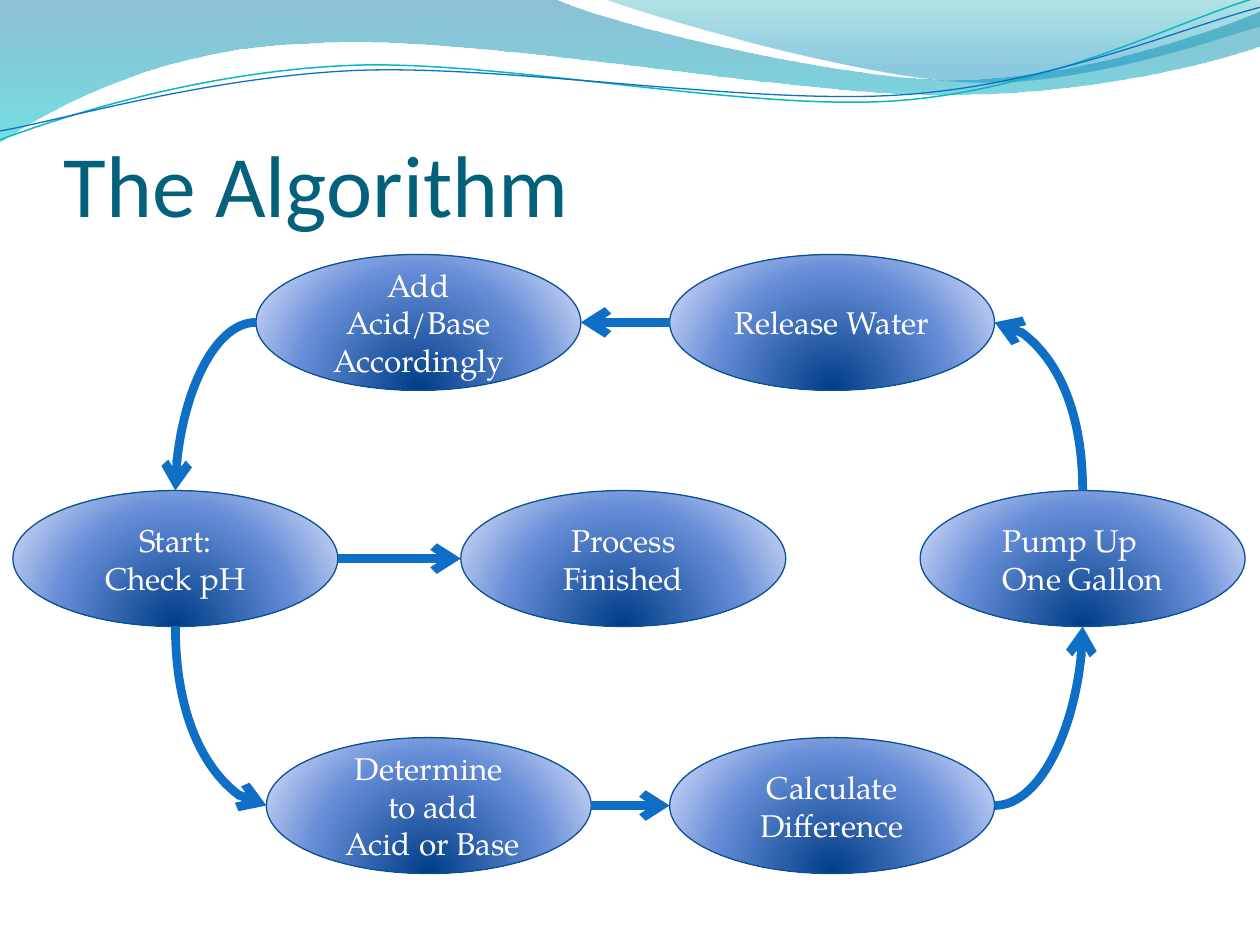
from lxml import etree
from pptx import Presentation
from pptx import util as u
from pptx.dml.color import RGBColor
from pptx.enum import shapes, text
from pptx.oxml.ns import qn

COLORS = {
    "title": "04617B", "label": "FFFFFF", "arrow": "0F6FC6", "outline": "095295",
    "teal_line": "0AB8BF", "blue_line": "0F6FC6",
}
# Gradient stops: position %, colour, opacity %
WAVE_STOPS = [(0, "0074A1", 45), (100, "00C6CF", 55)]
CREST_STOPS = [(0, "00A1A9", 30), (80, "008BBF", 45)]
STEP_STOPS = [(0, "003D87", 100), (68, "668DD7", 100), (100, "B3C4EF", 100)]

# Outlines in cm: two numbers make a straight line, six a Bezier curve
WAVE = [(0, 0), (11.18, -0.03), (12.09, 0.43, 16.87, 1.6, 19.25, 1.6),
        (21.67, 1.6, 24.33, 0.66, 25.4, 0.23), (25.43, 0.91),
        (24.97, 1.12, 22.1, 1.93, 18.95, 1.91), (15.8, 1.91, 9.7, 0.71, 6.53, 0.86),
        (3.28, 0.91, 1.17, 2.11, -0.03, 2.87)]
CREST = [(12.17, -0.03), (12.93, 0.28, 17.32, 1.57, 19.53, 1.65),
         (21.74, 1.75, 24.41, 0.81, 25.4, 0.53), (25.4, 0)]
TEAL_LINE = [(0, 2.82), (1.22, 2.36, 4.01, 1.45, 7.04, 1.32),
             (10.03, 1.19, 15.06, 2.26, 18.11, 2.03), (21.16, 1.8, 23.83, 0.38, 25.35, -0.05)]
BLUE_LINE = [(0, 2.64), (1.19, 2.44, 4.17, 1.55, 7.19, 1.42),
             (10.24, 1.3, 15.16, 2.13, 18.21, 1.91), (21.23, 1.7, 23.9, 0.53, 25.4, 0.15)]

STEP_WIDTH, STEP_HEIGHT = 6.55, 2.74
TOP_ROW, MIDDLE_ROW, BOTTOM_ROW = 0, 4.76, 9.74
CENTER, LEFT = text.PP_ALIGN.CENTER, text.PP_ALIGN.LEFT
# Step: text, left, top, special format
STEPS = {
    "start": ("Start:\nCheck pH", 0, MIDDLE_ROW, {}),
    "release": ("Release Water", 13.24, TOP_ROW, {}),
    "determine": ("Determine\nto add\nAcid or Base", 5.11, BOTTOM_ROW, {"indent": 0.16}),
    "add": ("Add Acid/Base Accordingly", 4.9, TOP_ROW, {}),
    "finished": ("Process Finished", 9.03, MIDDLE_ROW, {}),
    "pump": ("Pump Up One Gallon", 18.29, MIDDLE_ROW,
             {"align": LEFT, "margins": (0.71, 0.13, 0.5, 0.13)}),
    "calculate": ("Calculate Difference", 13.24, BOTTOM_ROW, {}),
}
# Side of an ellipse: connection site, share of width, share of height
SIDES = {"top": (0, 0.5, 0), "left": (2, 0, 0.5), "bottom": (4, 0.5, 1), "right": (6, 1, 0.5)}
ARROWS = [
    ("start", "bottom", "determine", "left", "curvedConnector2"),
    ("determine", "right", "calculate", "left", "curvedConnector3"),
    ("pump", "top", "release", "right", "curvedConnector2"),
    ("calculate", "right", "pump", "bottom", "curvedConnector2"),
    ("release", "left", "add", "right", "curvedConnector3"),
    ("add", "left", "start", "top", "curvedConnector2"),
    ("start", "right", "finished", "left", "straightConnector1"),
]


def rgb(name):
    return RGBColor.from_string(COLORS[name])


def add_element(parent, tag, **attributes):
    element = etree.SubElement(parent, qn(tag))
    for name, value in attributes.items():
        element.set(name, str(value))
    return element


def set_gradient(shape, stops, center=None):
    """Fill top to bottom, or in circles around the given rectangle."""
    shape.fill.background()
    properties = shape._element.spPr
    gradient = etree.Element(qn("a:gradFill"), rotWithShape="1")
    stop_list = add_element(gradient, "a:gsLst")
    for position, color, opacity in stops:
        stop = add_element(stop_list, "a:gs", pos=position * 1000)
        add_element(add_element(stop, "a:srgbClr", val=color), "a:alpha", val=opacity * 1000)
    if center:
        circle = add_element(gradient, "a:path", path="circle")
        add_element(circle, "a:fillToRect", **center)
    else:
        add_element(gradient, "a:lin", ang=5400000, scaled=1)
    properties.replace(properties.find(qn("a:noFill")), gradient)


def write_text(shape, content, *, size, font, color, align=CENTER,
               anchor=text.MSO_ANCHOR.MIDDLE, margins=None, indent=0):
    """Write one paragraph a line; indent, in cm, applies after the first."""
    frame = shape.text_frame
    frame.word_wrap = True
    frame.vertical_anchor = anchor
    if margins:
        frame.margin_left, frame.margin_top, frame.margin_right, frame.margin_bottom = (
            u.Cm(margin) for margin in margins)
    frame.text = content
    for index, paragraph in enumerate(frame.paragraphs):
        paragraph.alignment = align
        if indent and index:
            paragraph._p.get_or_add_pPr().set("marL", str(u.Cm(indent)))
        paragraph.font.size = u.Pt(size)
        paragraph.font.name = font
        paragraph.font.color.rgb = rgb(color)


def add_outline(slide, outline, left, top, closed):
    """Build the outline through its end points, then bend its curved segments."""
    points = [(u.Cm(left + segment[-2]), u.Cm(top + segment[-1])) for segment in outline]
    builder = slide.shapes.build_freeform(*points[0])
    builder.add_line_segments(points[1:], close=closed)
    shape = builder.convert_to_shape()
    shape.shadow.inherit = False
    lines = list(shape._element.spPr.iter(qn("a:lnTo")))
    for line, segment in zip(lines, outline[1:]):
        if len(segment) == 6:
            curve = etree.Element(qn("a:cubicBezTo"))
            for x, y in (segment[:2], segment[2:4], segment[4:]):
                add_element(curve, "a:pt", x=u.Cm(left + x) - shape.left,
                            y=u.Cm(top + y) - shape.top)
            line.getparent().replace(line, curve)
    return shape


def add_header(slide, left, top):
    for outline, stops in ((WAVE, WAVE_STOPS), (CREST, CREST_STOPS)):
        shape = add_outline(slide, outline, left, top, True)
        set_gradient(shape, stops)
        shape.line.fill.background()
    for outline, color, width in ((TEAL_LINE, "teal_line", 0.85), (BLUE_LINE, "blue_line", 0.75)):
        shape = add_outline(slide, outline, left, top, False)
        shape.fill.background()
        shape.line.color.rgb = rgb(color)
        shape.line.width = u.Pt(width)


def add_title(slide, left, top, width, height):
    box = slide.shapes.add_textbox(u.Cm(left), u.Cm(top), u.Cm(width), u.Cm(height))
    write_text(box, "The Algorithm", size=50, font="Calibri", color="title",
               align=LEFT, anchor=text.MSO_ANCHOR.BOTTOM, margins=(0, 0.13, 0, 0))


def add_step(slide, content, left, top, text_format):
    shape = slide.shapes.add_shape(shapes.MSO_SHAPE.OVAL, u.Cm(left), u.Cm(top),
                                   u.Cm(STEP_WIDTH), u.Cm(STEP_HEIGHT))
    shape.shadow.inherit = False
    set_gradient(shape, STEP_STOPS, {"l": 50000, "t": 130000, "r": 50000, "b": -30000})
    shape.line.color.rgb = rgb("outline")
    shape.line.width = u.Pt(0.75)
    write_text(shape, content, size=18, font="TeX Gyre Pagella", color="label", **text_format)
    return shape


def add_arrow(slide, source, source_side, target, target_side, preset):
    ends = []
    for shape, side in ((source, source_side), (target, target_side)):
        site, across, down = SIDES[side]
        ends.append((shape.left + across * shape.width, shape.top + down * shape.height))
    (x1, y1), (x2, y2) = ends
    # A bend that starts vertically is a horizontal one turned a quarter to the left
    turned = source_side in ("top", "bottom")
    if turned:
        middle_x, middle_y = (x1 + x2) / 2, (y1 + y2) / 2
        half_x, half_y = (y1 - y2) / 2, (x2 - x1) / 2
        x1, y1 = middle_x - half_x, middle_y - half_y
        x2, y2 = middle_x + half_x, middle_y + half_y
    connector = slide.shapes.add_connector(shapes.MSO_CONNECTOR.CURVE,
                                           *(int(value) for value in (x1, y1, x2, y2)))
    properties = connector._element.spPr
    properties.find(qn("a:prstGeom")).set("prst", preset)
    if turned:
        properties.find(qn("a:xfrm")).set("rot", "16200000")
    links = connector._element.find(".//" + qn("p:cNvCxnSpPr"))
    add_element(links, "a:stCxn", id=source.shape_id, idx=SIDES[source_side][0])
    add_element(links, "a:endCxn", id=target.shape_id, idx=SIDES[target_side][0])
    connector.line.color.rgb = rgb("arrow")
    connector.line.width = u.Pt(5)
    add_element(properties.find(qn("a:ln")), "a:tailEnd", type="arrow")
    add_element(properties, "a:effectLst")


def add_flowchart(slide, left, top):
    steps = {name: add_step(slide, content, left + x, top + y, text_format)
             for name, (content, x, y, text_format) in STEPS.items()}
    for source, source_side, target, target_side, preset in ARROWS:
        add_arrow(slide, steps[source], source_side, steps[target], target_side, preset)


def main():
    presentation = Presentation()
    presentation.slide_width, presentation.slide_height = u.Cm(25.4), u.Cm(19.05)
    slide = presentation.slides.add_slide(presentation.slide_layouts[6])
    add_header(slide, 0, 0)
    add_title(slide, 1.28, 1.57, 22.86, 3.17)
    add_flowchart(slide, 0.26, 5.13)
    presentation.save("out.pptx")


if __name__ == "__main__":
    main()
